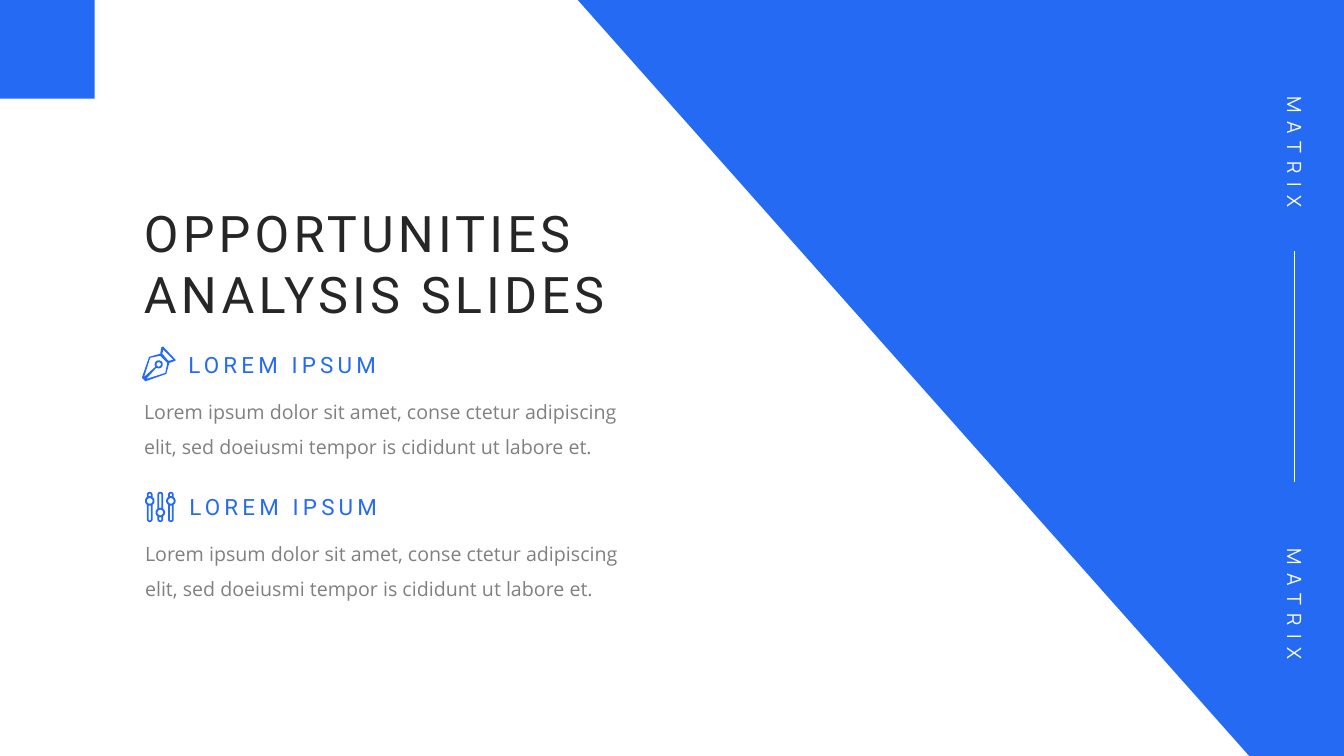
from collections import namedtuple
from math import asin, cos, degrees, radians, sin

from lxml.etree import SubElement
from pptx import Presentation
from pptx.dml.color import RGBColor
from pptx.enum.shapes import MSO_CONNECTOR as Connector, MSO_SHAPE as Shape
from pptx.enum.text import MSO_AUTO_SIZE as AutoSize, PP_ALIGN as Align
from pptx.oxml.ns import qn
from pptx.util import Inches, Pt

COLORS = {"blue": "256AF3", "white": "FFFFFF", "ink": "262626", "gray": "808080"}
CELL = Inches(0.1)
COLUMNS, ROWS = 133.3, 75
BODY = ("Lorem ipsum dolor sit amet, conse ctetur adipiscing elit, "
        "sed doeiusmi tempor is cididunt ut labore et.")
STYLES = {
    "title": dict(font="Roboto", size=36, color="ink", spacing=3),
    "heading": dict(font="Roboto", size=16, color="blue", spacing=3,
                    para={"alignment": Align.RIGHT}, frame={"word_wrap": False}),
    "body": dict(font="Open Sans", size=14, color="gray", para={"line_spacing": 1.5}),
    "label": dict(font="Manrope", size=14, color="white", spacing=6,
                  para={"alignment": Align.CENTER}),
}


class Box(namedtuple("Box", "left top width height")):
    """An area measured in grid cells."""

    def area(self, left, top, width, height):
        """Return a box placed relative to this one."""
        return Box(self.left + left, self.top + top, width, height)

    def emu(self):
        """Return the four lengths in EMU."""
        return [round(length * CELL) for length in self]


def rgb(name):
    """Return a named colour."""
    return RGBColor.from_string(COLORS[name])


def set_all(target, values):
    """Set attributes from a dict."""
    for name, value in values.items():
        setattr(target, name, value)


def paint(shape):
    """Give a shape a plain blue fill."""
    shape.shadow.inherit = False
    shape.fill.solid()
    shape.fill.fore_color.rgb = rgb("blue")
    shape.line.fill.background()


def add_block(page, box, kind=Shape.RECTANGLE, rotation=0):
    """Add a blue preset shape."""
    block = page.shapes.add_shape(kind, *box.emu())
    block.rotation = rotation
    paint(block)


def add_text(page, box, text, style, rotation=0):
    """Add a text box in one of the named styles."""
    look = STYLES[style]
    holder = page.shapes.add_textbox(*box.emu())
    holder.rotation = rotation
    frame = holder.text_frame
    set_all(frame, {"word_wrap": True, "auto_size": AutoSize.SHAPE_TO_FIT_TEXT,
                    **look.get("frame", {})})
    para = frame.paragraphs[0]
    set_all(para, look.get("para", {}))
    span = para.add_run()
    span.text = text
    set_all(span.font, {"name": look["font"], "size": Pt(look["size"])})
    span.font.color.rgb = rgb(look["color"])
    if "spacing" in look:
        span.font._element.set("spc", str(look["spacing"] * 100))


def add_outline(page, box, contours):
    """Add a freeform whose later contours are holes in the first."""
    placed = [[(round((box.left + x) * CELL), round((box.top + y) * CELL))
               for x, y in contour] for contour in contours]
    builder = page.shapes.build_freeform(*placed[0][0], scale=1.0)
    for number, contour in enumerate(placed):
        if number:
            builder.move_to(*contour[0])
        builder.add_line_segments(contour[1:], close=True)
    paint(builder.convert_to_shape())


def arc(x, y, radius, start=0, end=360, steps=24):
    """Return points along an arc, with angles in degrees."""
    angles = [radians(start + (end - start) * step / steps) for step in range(steps + 1)]
    return [(x + radius * cos(angle), y + radius * sin(angle)) for angle in angles]


def add_pen(page, box):
    """Draw the pen nib icon."""
    x, y = 1.65, 1.75
    body = [(2.4, 2.7), (2.7, 1.6), (3.3, 1.4), (3.33, 1.3), (2.1, 0), (2, 0),
            (1.9, 0.1), (1.8, 0.7), (0.7, 1), (0, 3), (0, 3.1), (0.3, 3.4), (0.4, 3.4)]
    collar = [(3.1, 1.3), (2.6, 1.4), (2, 0.7), (2.1, 0.3)]
    inside = [(0.4, 3.2), *arc(x, y, 0.4, 125, -215), (0.2, 3), (0.8, 1.1),
              (1.8, 0.9), (2.5, 1.6), (2.3, 2.6)]
    add_outline(page, box, [body, collar, inside, arc(x, y, 0.22)])


def add_sliders(page, box):
    """Draw the icon of three sliders."""
    stem, knob, slot = 0.28, 0.47, 0.11
    low = box.height - stem
    gap = degrees(asin(stem / knob))
    for x, y in ((0.45, 0.9), (1.5, 2.05), (2.55, 0.9)):
        rim = [*arc(x, stem, stem, 180, 360), *arc(x, y, knob, gap - 90, 90 - gap),
               *arc(x, low, stem, 0, 180), *arc(x, y, knob, 90 + gap, 270 - gap)]
        upper = [*arc(x, stem, slot, 180, 360), (x + slot, y - knob), (x - slot, y - knob)]
        lower = [*arc(x, low, slot, 0, 180), (x - slot, y + knob), (x + slot, y + knob)]
        add_outline(page, box, [rim, upper, lower, arc(x, y, stem)])


def add_sidebar(page, box):
    """Draw the blue side with its upright labels and rule."""
    slope = 66.6
    add_block(page, box.area(-slope, 0, slope, box.height), Shape.RIGHT_TRIANGLE, 180)
    add_block(page, box)
    middle, width = 4.5, 19.6
    for top in (13.4, 58.2):
        add_text(page, box.area(middle - width / 2, top, width, 3.4), "MATRIX", "label", 90)
    left, top, _, height = box.area(middle, 24.9, 0, 22.9).emu()
    rule = page.shapes.add_connector(Connector.STRAIGHT, left, top, left, top + height)
    rule.line.color.rgb = rgb("white")
    rule.line.width = Pt(0.5)
    SubElement(rule._element.spPr, qn("a:effectLst"))


def add_entry(page, box):
    """Add a heading with its paragraph below."""
    add_text(page, box.area(4, 0, 21, 3.7), "LOREM IPSUM", "heading")
    add_text(page, box.area(0, 3.7, box.width, 7.7), BODY, "body")


def add_content(page, box):
    """Add the title and the two entries with their icons."""
    add_text(page, box.area(0, 0, box.width, 13.1), "OPPORTUNITIES ANALYSIS SLIDES", "title")
    first = box.area(0, 14.7, 49.5, 11.4)
    second = first.area(0.1, 14.1, first.width, first.height)
    for entry in (first, second):
        add_entry(page, entry)
    add_pen(page, first.area(0.8, 0.1, 3.3, 3.4))
    add_sliders(page, second.area(1, 0.4, 3, 3))


def main():
    """Build the deck and save it."""
    deck = Presentation()
    set_all(deck, {"slide_width": round(COLUMNS * CELL), "slide_height": ROWS * CELL})
    page = deck.slides.add_slide(deck.slide_layouts[6])
    add_sidebar(page, Box(COLUMNS - 9.4, 0, 9.4, ROWS))
    add_block(page, Box(0, 0, 9.4, 9.8))
    add_content(page, Box(13.3, 19.6, 54.4, 40.2))
    deck.save("out.pptx")


if __name__ == "__main__":
    main()
